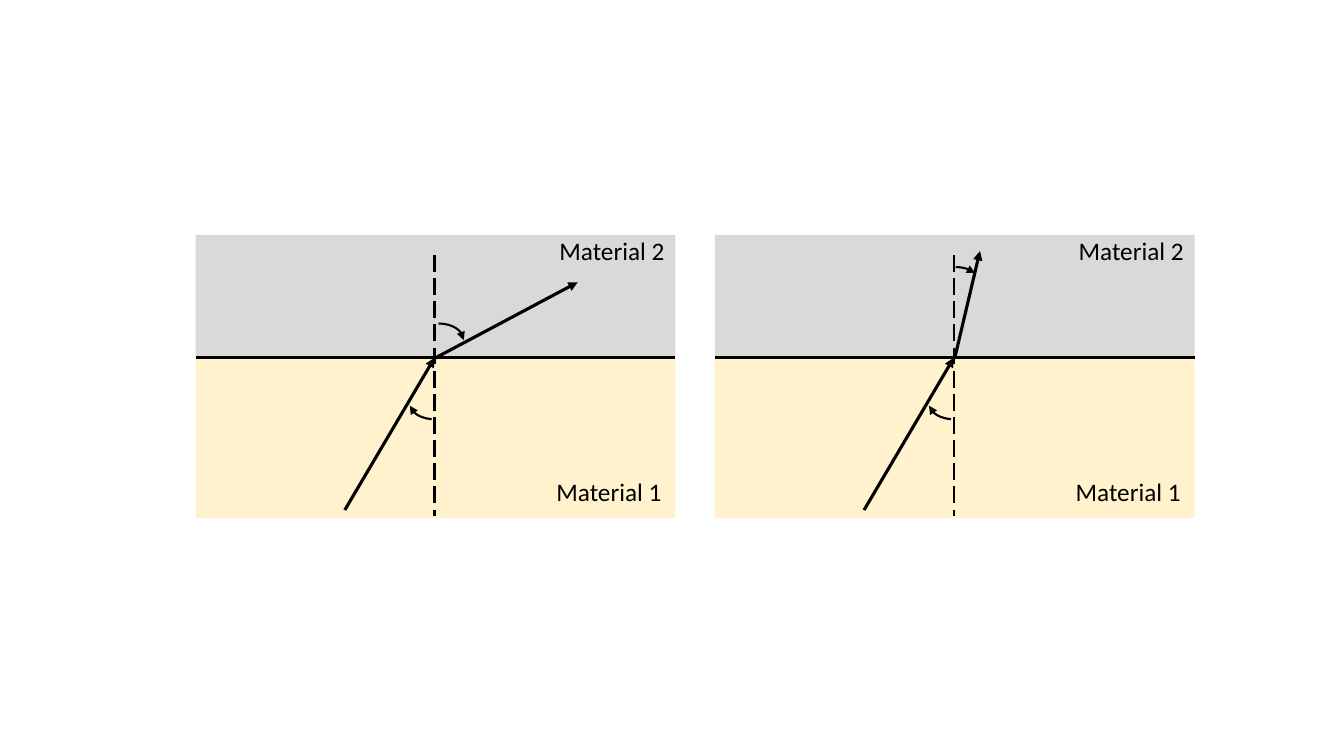
from pptx import Presentation
from pptx.dml.color import RGBColor
from pptx.enum.dml import MSO_LINE_DASH_STYLE as Dash
from pptx.enum.shapes import MSO_CONNECTOR as Connector, MSO_SHAPE as Shape
from pptx.enum.text import MSO_AUTO_SIZE as AutoSize
from pptx.oxml.ns import qn
from pptx.util import Inches, Pt
from lxml.etree import SubElement


def color(hex_string):
    return RGBColor.from_string(hex_string)


class Diagram:
    """Draws the parts of one panel into the current group."""
    FONT, SIZE, INK = "Calibri", 18, "000000"
    THICK, THIN = 2.25, 1.5

    def __init__(self, slide):
        self.slide = slide

    def start_panel(self):
        self.shapes = self.slide.shapes.add_group_shape().shapes

    def stroke(self, shape, width, arrow):
        shape.line.color.rgb = color(self.INK)
        shape.line.width = Pt(width)
        if arrow:
            SubElement(shape.line._get_or_add_ln(), qn("a:tailEnd"), type="triangle")

    def block(self, left, top, width, height, fill):
        block = self.shapes.add_shape(Shape.RECTANGLE, Inches(left), Inches(top),
                                      Inches(width), Inches(height))
        block.shadow.inherit = False
        block.fill.solid()
        block.fill.fore_color.rgb = color(fill)
        block.line.fill.background()
        return block

    def line(self, x1, y1, x2, y2, width=THICK, dash=None, arrow=False):
        line = self.shapes.add_connector(Connector.STRAIGHT, Inches(x1), Inches(y1),
                                         Inches(x2), Inches(y2))
        if dash:
            line.line.dash_style = dash
        self.stroke(line, width, arrow)
        SubElement(line._element.spPr, qn("a:effectLst"))
        return line

    def angle(self, left, top, start, end):
        """Arc with an arrowhead, from start to end in degrees clockwise."""
        arc = self.shapes.add_shape(Shape.ARC, Inches(left), Inches(top),
                                    Inches(0.5), Inches(0.33))
        arc.adjustments[0] = start * 0.6
        arc.adjustments[1] = end * 0.6
        arc.shadow.inherit = False
        arc.fill.background()
        self.stroke(arc, self.THIN, arrow=True)

    def label(self, left, top, text):
        box = self.shapes.add_textbox(Inches(left), Inches(top), Inches(1.25), Inches(0.4))
        frame = box.text_frame
        frame.word_wrap = False
        frame.auto_size = AutoSize.SHAPE_TO_FIT_TEXT
        paragraph = frame.paragraphs[0]
        paragraph.text = text
        paragraph.font.name = self.FONT
        paragraph.font.size = Pt(self.SIZE)
        paragraph.font.color.rgb = color(self.INK)


PANEL_WIDTH = 4.76
UPPER_TOP, SURFACE, LOWER_HEIGHT = 2.33, 3.55, 1.59

# Panel left, refracted ray end (dx, y), refraction angle (dx, top, start, end)
PANELS = [
    (1.94, (3.79, 2.8), (2.16, 3.21, 270, 0)),
    (7.09, (2.63, 2.49), (2.14, 2.65, 270, 331.07)),
]


def draw_panel(diagram, left, ray_end, refraction):
    diagram.start_panel()
    normal = left + 2.37

    # Materials and the surface between them
    material_1 = diagram.block(left, SURFACE, PANEL_WIDTH, LOWER_HEIGHT, "FFF2CC")
    diagram.block(left, UPPER_TOP, PANEL_WIDTH, SURFACE - UPPER_TOP, "D9D9D9")
    diagram.line(left, SURFACE, left + PANEL_WIDTH, SURFACE)

    # Normal, incident ray and refracted ray
    diagram.line(normal, 2.53, normal, 5.12, diagram.THIN, Dash.LONG_DASH)
    diagram.line(left + 1.48, 5.06, normal, SURFACE, arrow=True)
    ray_dx, ray_y = ray_end
    refracted = diagram.line(left + PANEL_WIDTH / 2, SURFACE, left + ray_dx, ray_y, arrow=True)
    refracted.begin_connect(material_1, 0)

    # Labels
    diagram.label(left + 3.51, 2.29, "Material 2")
    diagram.label(left + 3.48, 4.68, "Material 1")

    # Angles of refraction and incidence
    angle_dx, top, start, end = refraction
    diagram.angle(left + angle_dx, top, start, end)
    diagram.angle(left + 2.12, 3.83, 99.94, 172.93)


def main():
    presentation = Presentation()
    presentation.slide_width = Inches(13.33)
    presentation.slide_height = Inches(7.5)
    diagram = Diagram(presentation.slides.add_slide(presentation.slide_layouts[6]))
    for left, ray_end, refraction in PANELS:
        draw_panel(diagram, left, ray_end, refraction)
    presentation.save("out.pptx")


if __name__ == "__main__":
    main()
